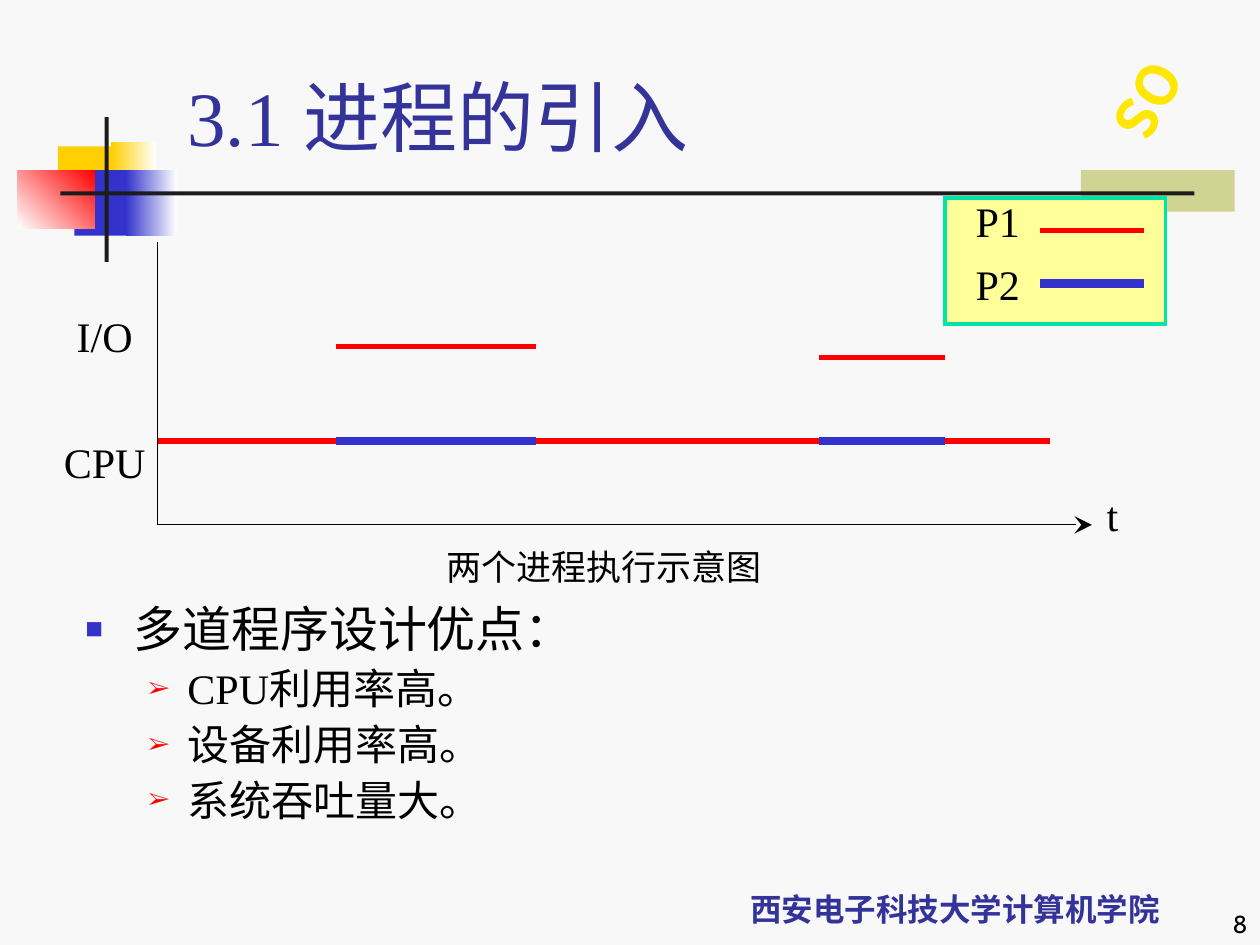
"""Build the slide on two processes sharing CPU and I/O."""
import pptx
import pptx.dml.color
import pptx.enum.shapes
import pptx.enum.text
import pptx.oxml
import pptx.oxml.ns
import pptx.util
from lxml import etree

Cm = pptx.util.Cm
Pt = pptx.util.Pt
qn = pptx.oxml.ns.qn
ANCHOR = pptx.enum.text.MSO_ANCHOR
ALIGN = pptx.enum.text.PP_ALIGN

COLORS = {
    "background": "F8F8F8", "olive": "D1D393", "gold": "FFCF01", "blue": "3333CC",
    "white": "FFFFFF", "red": "FF0000", "bar": "1C1C1C", "title": "333399",
    "yellow": "FFE701", "black": "000000", "legend": "FFFF99", "legend_edge": "00E4A8",
}
SERIF = "Times New Roman"
SANS = "Noto Sans CJK SC"

DECORATIONS = [
    ((21.79, 3.43, 3.1, 0.84), ["olive"], 0),
    ((1.17, 2.95, 1.22, 1.32), ["gold"], 0),
    ((2.24, 2.87, 0.91, 1.32), ["gold", "white"], 0),
    ((1.5, 3.43, 1.17, 1.32), ["blue"], 0),
    ((2.54, 3.43, 1.02, 1.32), ["blue", "white"], 0),
    ((0.36, 3.43, 1.55, 1.17), ["white", "red"], 45),
    ((2.11, 2.36, 0.08, 2.92), ["bar"], 0),
    ((1.22, 3.86, 22.86, 0.08), ["bar"], 0),
]

SWITCH_TIMES = [3.18, 6.77, 10.8, 16.51, 19.05, 21.17]
CPU_LEVEL = 8.89
P1_LEVELS = [CPU_LEVEL, 6.99, CPU_LEVEL, 7.2, CPU_LEVEL]
P1_STYLE = ("red", 3)
P2_STYLE = ("blue", 5)

LEGEND_BOX = (19.05, 3.99, 4.45, 2.54)
LEGEND = [("P1", 4.02, 4.65, P1_STYLE), ("P2", 5.29, 5.72, P2_STYLE)]

AXIS_STYLE = ("black", 0.75)
AXIS_ORIGIN = (3.18, 10.58)
TIME_END = (22.01, 10.58)
LEVEL_END = (3.18, 4.88)
LABELS = [
    ("t", 21.79, 9.96, 1.27, 24),
    ("I/O", 1.36, 6.35, 1.5, 24),
    ("CPU", 1.11, 8.89, 2, 24),
    ("两个进程执行示意图", 8.05, 11, 8.26, 20),
]

HEADING_STYLE = {"bullet": "■", "color": "blue", "scale": 60, "left": 0.97, "hang": 0.97, "size": 28, "before": 0}
ITEM_STYLE = {"bullet": "➢", "color": "red", "scale": 55, "left": 2.06, "hang": 0.79, "size": 24, "before": 6}
ADVANTAGES = [
    ("多道程序设计优点：", HEADING_STYLE),
    ("CPU利用率高。", ITEM_STYLE),
    ("设备利用率高。", ITEM_STYLE),
    ("系统吞吐量大。", ITEM_STYLE),
]


def rgb(name):
    return pptx.dml.color.RGBColor.from_string(COLORS[name])


def add_rectangle(slide, box, colors, angle=0, edge=None):
    shape = slide.shapes.add_shape(pptx.enum.shapes.MSO_SHAPE.RECTANGLE, *map(Cm, box))
    shape.shadow.inherit = False
    if len(colors) == 1:
        shape.fill.solid()
        shape.fill.fore_color.rgb = rgb(colors[0])
    else:
        shape.fill.gradient()
        shape.fill.gradient_angle = angle
        for stop, color in zip(shape.fill.gradient_stops, colors):
            stop.color.rgb = rgb(color)
    if edge:
        shape.line.color.rgb = rgb(edge)
        shape.line.width = Pt(2)
        etree.SubElement(shape.line._get_or_add_ln(), qn("a:miter"), lim="800000")
    else:
        shape.line.fill.background()


def add_line(slide, start, end, style, arrow=False):
    color, width = style
    straight = pptx.enum.shapes.MSO_CONNECTOR.STRAIGHT
    connector = slide.shapes.add_connector(straight, *map(Cm, start + end))
    connector.line.color.rgb = rgb(color)
    connector.line.width = Pt(width)
    if arrow:
        etree.SubElement(connector.line._get_or_add_ln(), qn("a:tailEnd"),
                         type="stealth", w="lg", len="lg")
    etree.SubElement(connector._element.spPr, qn("a:effectLst"))


def set_font(paragraph, size, name, color="black", bold=False):
    font = paragraph.font
    font.size, font.name, font.bold = Pt(size), name, bold
    font.color.rgb = rgb(color)
    properties = paragraph._p.get_or_add_pPr().find(qn("a:defRPr"))
    etree.SubElement(properties, qn("a:ea"), typeface=SANS)


def add_text(slide, box, text, size, name=SERIF, color="black", bold=False,
             align=ALIGN.CENTER, anchor=ANCHOR.MIDDLE, wrap=True):
    shape = slide.shapes.add_textbox(*map(Cm, box))
    frame = shape.text_frame
    frame.word_wrap = wrap
    frame.vertical_anchor = anchor
    paragraph = frame.paragraphs[0]
    paragraph.text = text
    paragraph.alignment = align
    set_font(paragraph, size, name, color, bold)
    return shape


def add_label(slide, box, text, size):
    frame = add_text(slide, box, text, size, wrap=False).text_frame
    frame.margin_left = frame.margin_right = 0


def add_bullet(paragraph, style):
    properties = paragraph._p.get_or_add_pPr()
    properties.set("marL", str(Cm(style["left"])))
    properties.set("indent", str(-Cm(style["hang"])))
    color = etree.SubElement(properties, qn("a:buClr"))
    etree.SubElement(color, qn("a:srgbClr"), val=COLORS[style["color"]])
    etree.SubElement(properties, qn("a:buSzPct"), val=str(style["scale"] * 1000))
    etree.SubElement(properties, qn("a:buFont"), typeface=SERIF)
    etree.SubElement(properties, qn("a:buChar"), char=style["bullet"])


def add_advantages(slide):
    frame = slide.shapes.add_textbox(Cm(1.47), Cm(12.07), Cm(21.59), Cm(4.88)).text_frame
    frame.word_wrap = True
    for index, (text, style) in enumerate(ADVANTAGES):
        paragraph = frame.add_paragraph() if index else frame.paragraphs[0]
        paragraph.text = text
        add_bullet(paragraph, style)
        paragraph.line_spacing = 0.9
        paragraph.space_before = Pt(style["before"])
        set_font(paragraph, style["size"], SERIF)


def add_timeline(slide):
    spans = list(zip(SWITCH_TIMES, SWITCH_TIMES[1:]))
    for (start, end), level in zip(spans, P1_LEVELS):
        add_line(slide, (start, level), (end, level), P1_STYLE)
    for start, end in spans[1::2]:
        add_line(slide, (start, CPU_LEVEL), (end, CPU_LEVEL), P2_STYLE)
    add_rectangle(slide, LEGEND_BOX, ["legend"], edge="legend_edge")
    for text, top, level, style in LEGEND:
        add_line(slide, (20.96, level), (23.07, level), style)
        add_label(slide, (19.48, top, 1.27, 0.85), text, 24)
    add_line(slide, AXIS_ORIGIN, TIME_END, AXIS_STYLE, arrow=True)
    add_line(slide, AXIS_ORIGIN, LEVEL_END, AXIS_STYLE)
    for text, left, top, width, size in LABELS:
        add_label(slide, (left, top, width, 0.85), text, size)


def main():
    presentation = pptx.Presentation()
    presentation.slide_width, presentation.slide_height = Cm(25.4), Cm(19.05)
    slide = presentation.slides.add_slide(presentation.slide_layouts[6])
    slide.background.fill.solid()
    slide.background.fill.fore_color.rgb = rgb("background")
    for box, colors, angle in DECORATIONS:
        add_rectangle(slide, box, colors, angle)
    add_text(slide, (13.54, 17.35, 11.43, 1.47), "西安电子科技大学计算机学院", 18, SANS,
             "title", bold=True, anchor=ANCHOR.BOTTOM)
    emblem = add_text(slide, (22.25, 1.02, 2.01, 1.8), "OS", 32, SANS, "yellow",
                      bold=True, wrap=False)
    emblem.rotation = 29.3
    emblem.text_frame._txBody.bodyPr.set("vert", "eaVert")
    add_text(slide, (20.12, 17.78, 5.28, 1.27), "8", 14, "Cabin",
             align=ALIGN.RIGHT, anchor=ANCHOR.BOTTOM)
    add_text(slide, (3.53, 1.27, 21.64, 2.11), "3.1 进程的引入", 44, color="title",
             align=ALIGN.LEFT, anchor=ANCHOR.BOTTOM)
    add_advantages(slide)
    add_timeline(slide)
    presentation.save("out.pptx")


if __name__ == "__main__":
    main()
